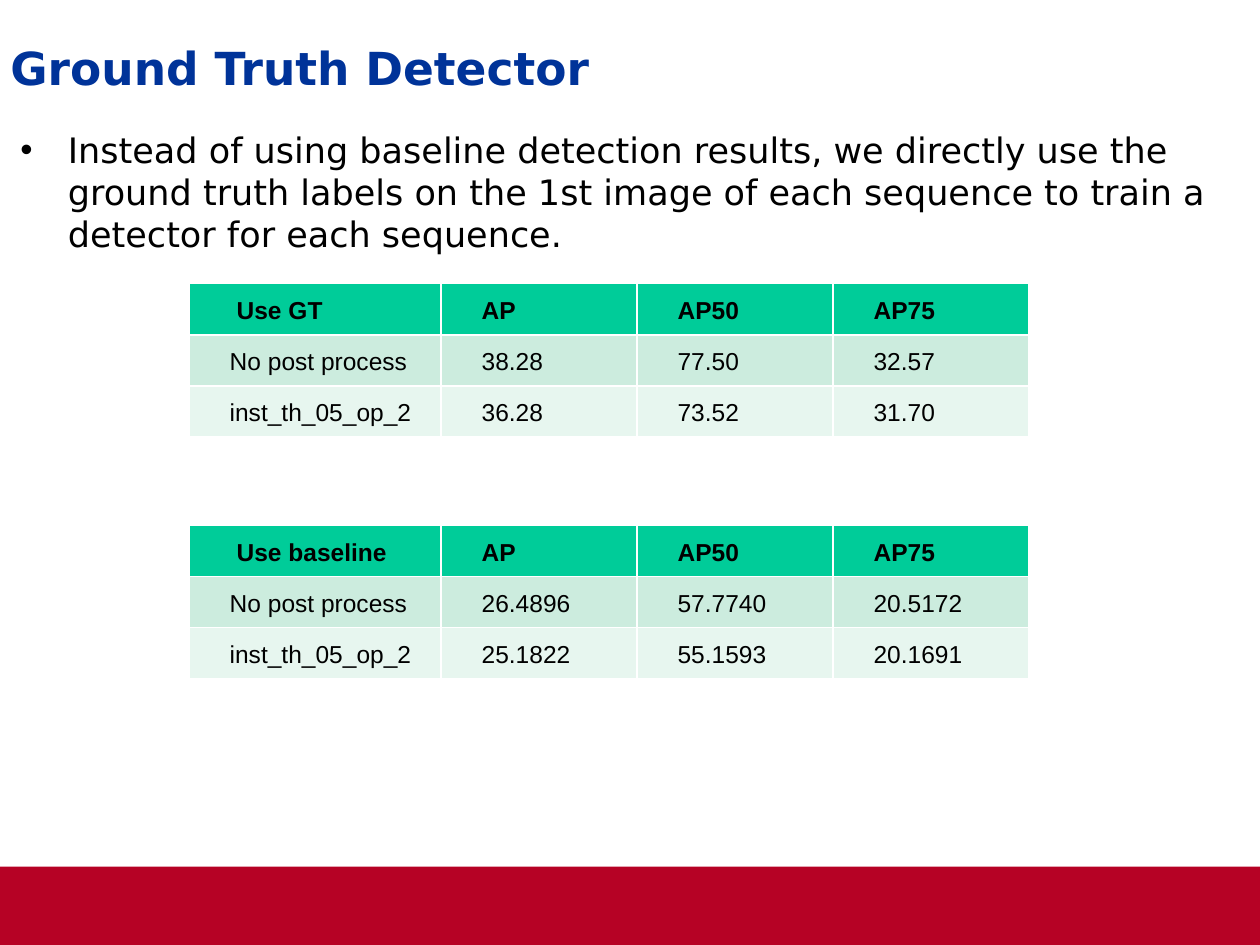
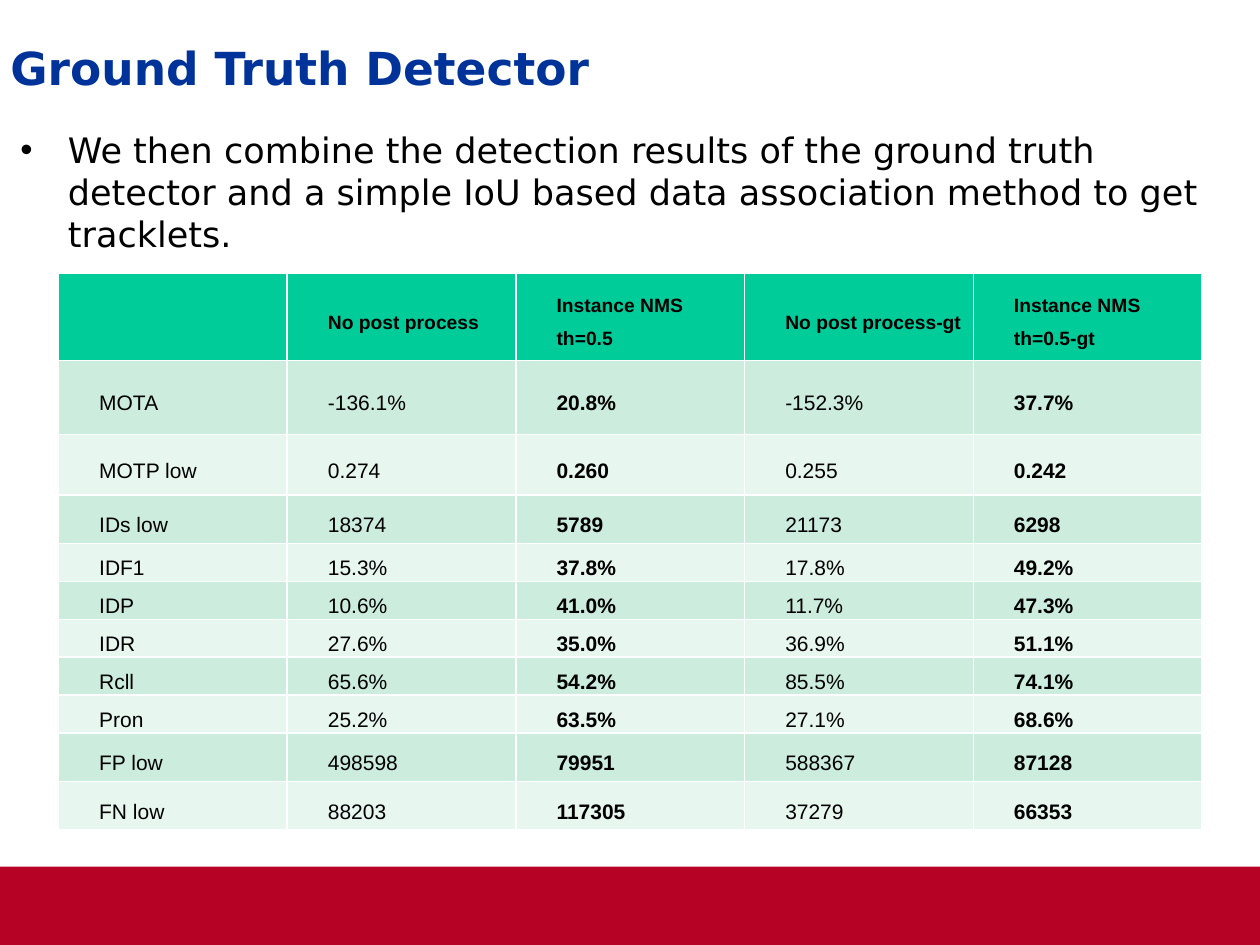
from lxml import etree
from pptx import Presentation
from pptx.dml.color import RGBColor
from pptx.enum.shapes import MSO_SHAPE
from pptx.enum.text import MSO_ANCHOR, PP_ALIGN
from pptx.oxml.ns import qn
from pptx.util import Cm, Pt

RECTANGLE = MSO_SHAPE.RECTANGLE
TOP, MIDDLE = MSO_ANCHOR.TOP, MSO_ANCHOR.MIDDLE
LEFT, JUSTIFY = PP_ALIGN.LEFT, PP_ALIGN.JUSTIFY

COLORS = {
    "band": "B60225",
    "title": "003399",
    "text": "000000",
    "header": "00CC99",
    "odd_row": "CCECDE",
    "even_row": "E7F6EF",
}
TITLE_FONT = "DejaVu Sans"
TABLE_FONT = "Arial"
SLIDE_WIDTH, SLIDE_HEIGHT = 25.4, 19.05
BAND_TOP = 17.47

# Lengths in centimetres, text sizes in points
PRECISION_TABLE = {
    "left": 3.81,
    "columns": [5.08] + [3.95] * 3,
    "row_heights": [1.03] * 3,
    "header_size": 14,
    "body_size": 14,
    "bold_columns": (),
    "align": JUSTIFY,
    "anchor": TOP,
}
TRACKING_TABLE = {
    "left": 1.18,
    "columns": [4.61] * 5,
    "row_heights": [1.76, 1.49, 1.22, 0.98] + [0.69] * 5 + [0.98] * 2,
    "header_size": 11,
    "body_size": 12,
    "bold_columns": (2, 4),
    "align": LEFT,
    "anchor": MIDDLE,
}

SLIDES = [
    {
        "title": "Ground Truth Detector",
        "bullet": "Instead of using baseline detection results, we directly use the "
                  "ground truth labels on the 1st image of each sequence to train a "
                  "detector for each sequence.",
        "tables": [
            (5.72, PRECISION_TABLE, [
                ("Use GT", "AP", "AP50", "AP75"),
                ("No post process", "38.28", "77.50", "32.57"),
                ("inst_th_05_op_2", "36.28", "73.52", "31.70"),
            ]),
            (10.59, PRECISION_TABLE, [
                ("Use baseline", "AP", "AP50", "AP75"),
                ("No post process", "26.4896", "57.7740", "20.5172"),
                ("inst_th_05_op_2", "25.1822", "55.1593", "20.1691"),
            ]),
        ],
    },
    {
        "title": "Ground Truth Detector",
        "bullet": "We then combine the detection results of the ground truth detector "
                  "and a simple IoU based data association method to get tracklets.",
        "tables": [
            (5.51, TRACKING_TABLE, [
                ("", "No post process", "Instance NMS th=0.5",
                 "No post process-gt", "Instance NMS th=0.5-gt"),
                ("MOTA", "-136.1%", "20.8%", "-152.3%", "37.7%"),
                ("MOTP low", "0.274", "0.260", "0.255", "0.242"),
                ("IDs low", "18374", "5789", "21173", "6298"),
                ("IDF1", "15.3%", "37.8%", "17.8%", "49.2%"),
                ("IDP", "10.6%", "41.0%", "11.7%", "47.3%"),
                ("IDR", "27.6%", "35.0%", "36.9%", "51.1%"),
                ("Rcll", "65.6%", "54.2%", "85.5%", "74.1%"),
                ("Pron", "25.2%", "63.5%", "27.1%", "68.6%"),
                ("FP low", "498598", "79951", "588367", "87128"),
                ("FN low", "88203", "117305", "37279", "66353"),
            ]),
        ],
    },
]


def rgb(name):
    return RGBColor.from_string(COLORS[name])


def format_font(paragraph, font_name, size, color, bold=False):
    for run in paragraph.runs:
        run.font.name = font_name
        run.font.size = Pt(size)
        run.font.color.rgb = rgb(color)
        run.font.bold = bold


def indent(paragraph, left, first_line=0):
    properties = paragraph._p.get_or_add_pPr()
    properties.set("marL", str(Cm(left)))
    properties.set("indent", str(Cm(first_line)))
    return properties


def add_band(slide):
    band = slide.shapes.add_shape(
        RECTANGLE, 0, Cm(BAND_TOP), Cm(SLIDE_WIDTH), Cm(SLIDE_HEIGHT - BAND_TOP))
    band.shadow.inherit = False
    band.fill.solid()
    band.fill.fore_color.rgb = rgb("band")
    band.line.fill.background()


def add_text(slide, text, left, top, width, height, anchor):
    """Add a one-paragraph text box and return its paragraph."""
    box = slide.shapes.add_textbox(Cm(left), Cm(top), Cm(width), Cm(height))
    frame = box.text_frame
    frame.text = text
    frame.word_wrap = True
    frame.vertical_anchor = anchor
    frame.margin_left = frame.margin_top = 0
    frame.margin_right, frame.margin_bottom = Cm(0.25), Cm(0.13)
    return frame.paragraphs[0]


def add_title(slide, text):
    paragraph = add_text(slide, text, 0.21, 0.48, 24.82, 2.01, MIDDLE)
    paragraph.line_spacing = 0.95
    format_font(paragraph, TITLE_FONT, 26, "title", bold=True)


def add_bullet(slide, text):
    paragraph = add_text(slide, text, 0.41, 2.59, 24.61, 2.9, TOP)
    paragraph.space_before = Pt(4)
    paragraph.space_after = Pt(3)
    properties = indent(paragraph, 0.96, -0.96)
    etree.SubElement(properties, qn("a:buFont"), typeface="Arial")
    etree.SubElement(properties, qn("a:buChar"), char="•")
    format_font(paragraph, TITLE_FONT, 20, "text")


def format_cell(cell, text, row, column, layout):
    is_header = row == 0
    cell.fill.solid()
    row_color = "odd_row" if row % 2 else "even_row"
    cell.fill.fore_color.rgb = rgb("header" if is_header else row_color)
    cell.vertical_anchor = layout["anchor"]
    cell.margin_left = cell.margin_right = Cm(0.18)
    cell.margin_top = cell.margin_bottom = 0
    if not text:
        return

    cell.text_frame.text = text
    paragraph = cell.text_frame.paragraphs[0]
    paragraph.alignment = layout["align"]
    paragraph.line_spacing = 1.5
    is_corner = is_header and column == 0
    indent(paragraph, 0.78 if is_corner else 0.64)
    size = layout["header_size"] if is_header else layout["body_size"]
    bold = is_header or column in layout["bold_columns"]
    format_font(paragraph, TABLE_FONT, size, "text", bold)


def add_results_table(slide, top, layout, rows):
    """Add a table whose white rules come from the default table style."""
    widths, heights = layout["columns"], layout["row_heights"]
    table = slide.shapes.add_table(
        len(rows), len(widths), Cm(layout["left"]), Cm(top),
        Cm(sum(widths)), Cm(sum(heights))).table
    for column, width in zip(table.columns, widths):
        column.width = Cm(width)
    for row, height in zip(table.rows, heights):
        row.height = Cm(height)
    for row, values in enumerate(rows):
        for column, text in enumerate(values):
            format_cell(table.cell(row, column), text, row, column, layout)


def main():
    presentation = Presentation()
    presentation.slide_width = Cm(SLIDE_WIDTH)
    presentation.slide_height = Cm(SLIDE_HEIGHT)
    blank = presentation.slide_layouts[6]
    for content in SLIDES:
        slide = presentation.slides.add_slide(blank)
        add_band(slide)
        add_title(slide, content["title"])
        add_bullet(slide, content["bullet"])
        for table in content["tables"]:
            add_results_table(slide, *table)
    presentation.save("out.pptx")


if __name__ == "__main__":
    main()
